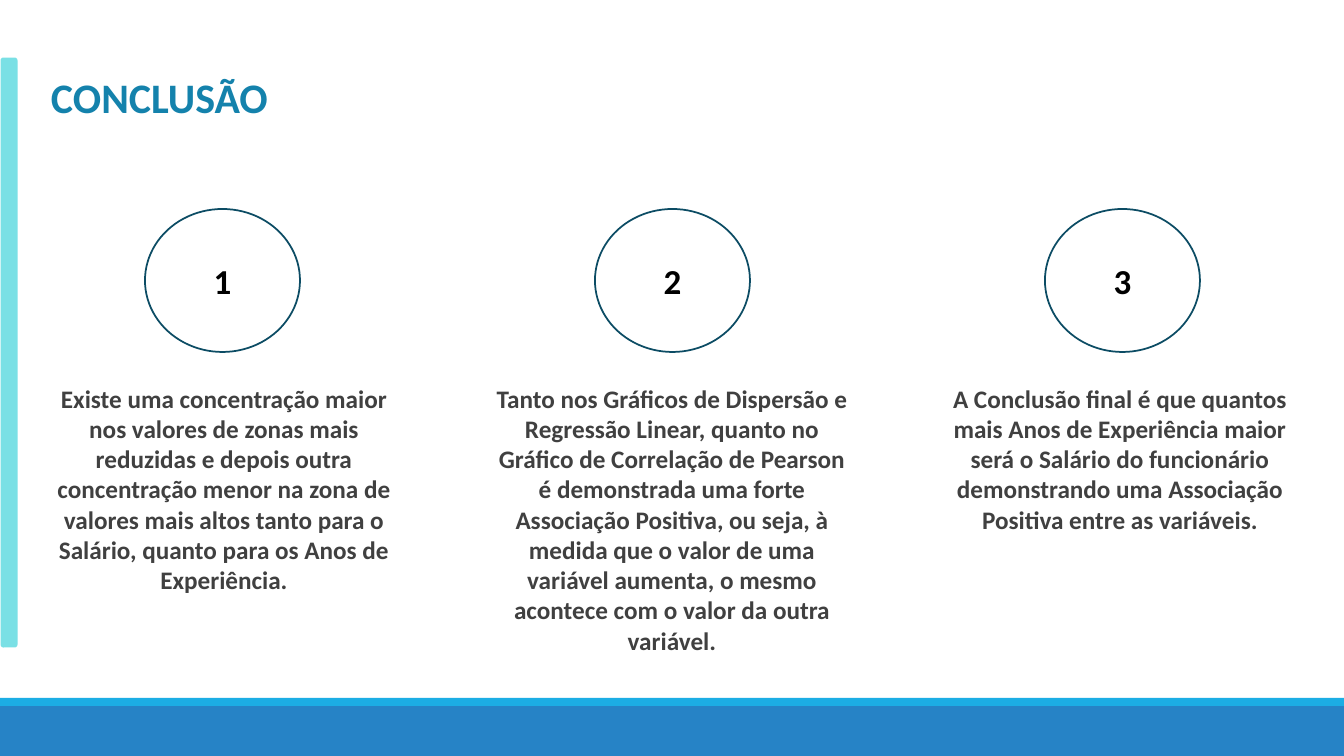
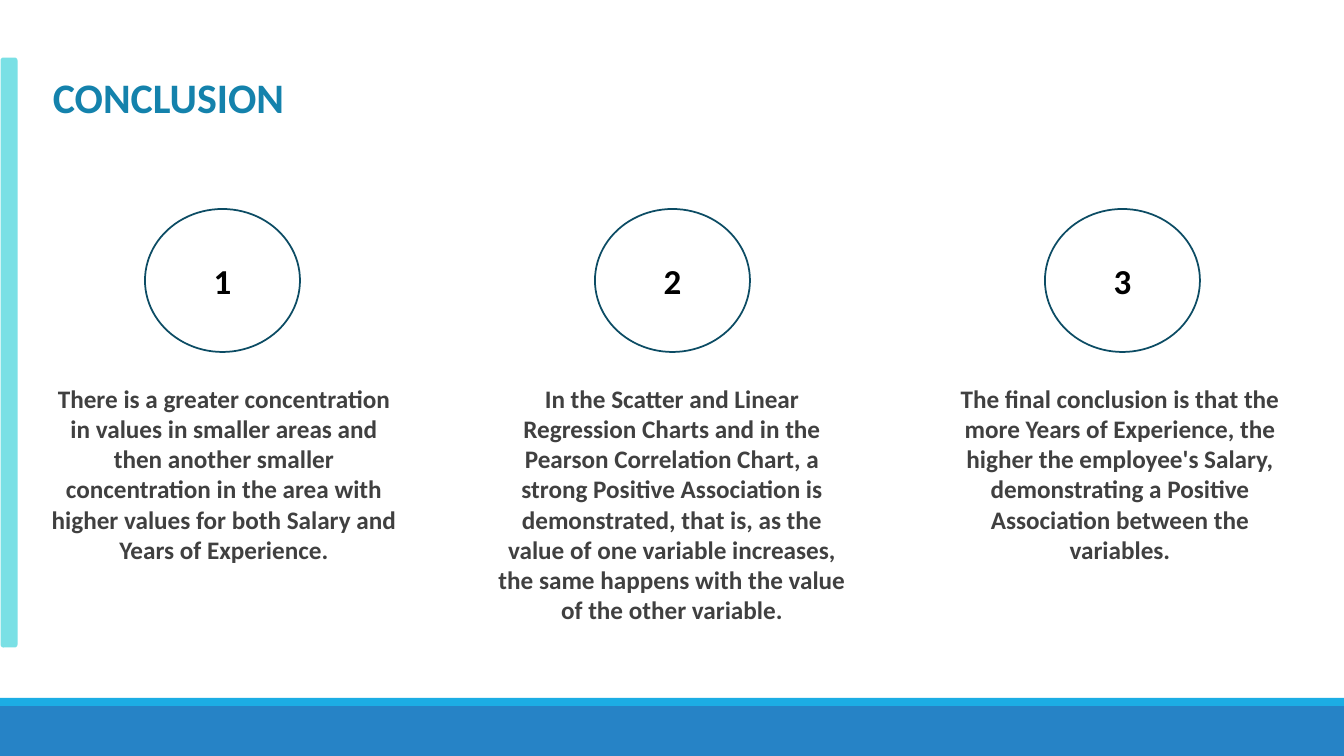
from pptx import Presentation
from pptx.dml.color import RGBColor
from pptx.enum.shapes import MSO_SHAPE
from pptx.enum.text import MSO_ANCHOR, MSO_AUTO_SIZE, PP_ALIGN
from pptx.util import Pt

EMU_PER_PIXEL = 914400 / 100.8
FONT = "Calibri"
WHITE, BLACK, GRAY = "FFFFFF", "000000", "404040"
BLUE, SKY, AQUA = "2683C6", "1CADE4", "7AE0E5"
TITLE_BLUE, OUTLINE = "1482AC", "0C4C64"

CIRCLE_LEFT, CIRCLE_STEP = 145, 450
TEXT_LEFT, TEXT_STEP = 38, 448

# Title, title width, then each column's text and box height
CONCLUSIONS = [
    ("CONCLUSÃO", 243, [
        ("Existe uma concentração maior nos valores de zonas mais reduzidas e "
         "depois outra concentração menor na zona de valores mais altos tanto "
         "para o Salário, quanto para os Anos de Experiência.", 224),
        ("Tanto nos Gráficos de Dispersão e Regressão Linear, quanto no Gráfico "
         "de Correlação de Pearson é demonstrada uma forte Associação Positiva, "
         "ou seja, à medida que o valor de uma variável aumenta, o mesmo "
         "acontece com o valor da outra variável.", 285),
        ("A Conclusão final é que quantos mais Anos de Experiência maior será o "
         "Salário do funcionário demonstrando uma Associação Positiva entre as "
         "variáveis.", 163),
    ]),
    ("CONCLUSION", 261, [
        ("There is a greater concentration in values in smaller areas and then "
         "another smaller concentration in the area with higher values for both "
         "Salary and Years of Experience.", 194),
        ("In the Scatter and Linear Regression Charts and in the Pearson "
         "Correlation Chart, a strong Positive Association is demonstrated, "
         "that is, as the value of one variable increases, the same happens "
         "with the value of the other variable.", 254),
        ("The final conclusion is that the more Years of Experience, the higher "
         "the employee's Salary, demonstrating a Positive Association between "
         "the variables.", 194),
    ]),
]


def pixels(*lengths):
    """Turn pixel lengths into a list of EMU."""
    return [round(length * EMU_PER_PIXEL) for length in lengths]


def color(hex_code):
    """Turn a hex string into a colour."""
    return RGBColor.from_string(hex_code)


def add_shape(slide, kind, place, fill, line=None):
    """Add a flat preset shape, with an outline if a line colour is given."""
    shape = slide.shapes.add_shape(kind, *pixels(*place))
    shape.shadow.inherit = False
    shape.fill.solid()
    shape.fill.fore_color.rgb = color(fill)
    if line:
        shape.line.color.rgb = color(line)
        shape.line.width = Pt(1.25)
    else:
        shape.line.fill.background()
    return shape


def write(shape, text, size, ink, anchor=MSO_ANCHOR.TOP, wrap=True,
          fit=MSO_AUTO_SIZE.NONE):
    """Write one bold, centred paragraph into a shape."""
    frame = shape.text_frame
    frame.word_wrap = wrap
    frame.auto_size = fit
    frame.vertical_anchor = anchor
    para = frame.paragraphs[0]
    para.alignment = PP_ALIGN.CENTER
    span = para.add_run()
    span.text = text
    span.font.name = FONT
    span.font.size = Pt(size)
    span.font.bold = True
    span.font.color.rgb = color(ink)


deck = Presentation()
deck.slide_width, deck.slide_height = pixels(1344, 756)
layout = deck.slide_layouts.get_by_name("Title Only")
pages = [deck.slides.add_slide(layout) for _ in CONCLUSIONS]

# Bottom bands belong to the layout, so every page shows them
for top, height, fill in [(706, 50, BLUE), (698, 8, SKY)]:
    band = add_shape(pages[0], MSO_SHAPE.RECTANGLE, (0, top, 1344, height), fill)
    layout.shapes.element.append(band.element)

for page, (heading, heading_width, columns) in zip(pages, CONCLUSIONS):
    title = page.shapes.title
    title.left, title.top, title.width, title.height = pixels(
        TEXT_LEFT, 66, heading_width, 61)
    write(title, heading, 30, TITLE_BLUE, wrap=False)

    side_bar = add_shape(page, MSO_SHAPE.ROUNDED_RECTANGLE,
                         (-286, 344, 590, 17), AQUA)
    side_bar.rotation = 90

    for index, (text, height) in enumerate(columns):
        circle = add_shape(page, MSO_SHAPE.OVAL,
                           (CIRCLE_LEFT + index * CIRCLE_STEP, 209, 155, 143),
                           WHITE, line=OUTLINE)
        write(circle, str(index + 1), 25, BLACK, anchor=MSO_ANCHOR.MIDDLE)

        box = page.shapes.add_textbox(
            *pixels(TEXT_LEFT + index * TEXT_STEP, 378, 372, height))
        write(box, text, 18, GRAY, fit=MSO_AUTO_SIZE.SHAPE_TO_FIT_TEXT)

deck.save("out.pptx")
